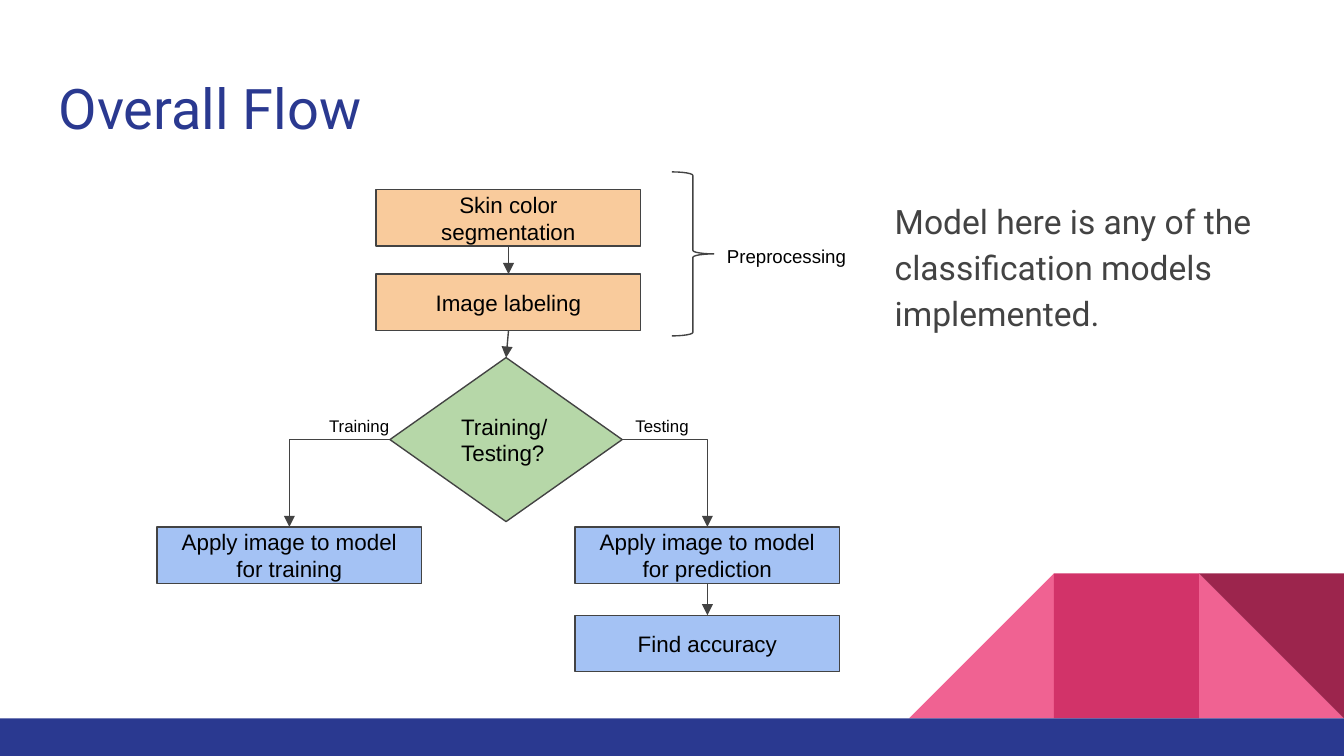
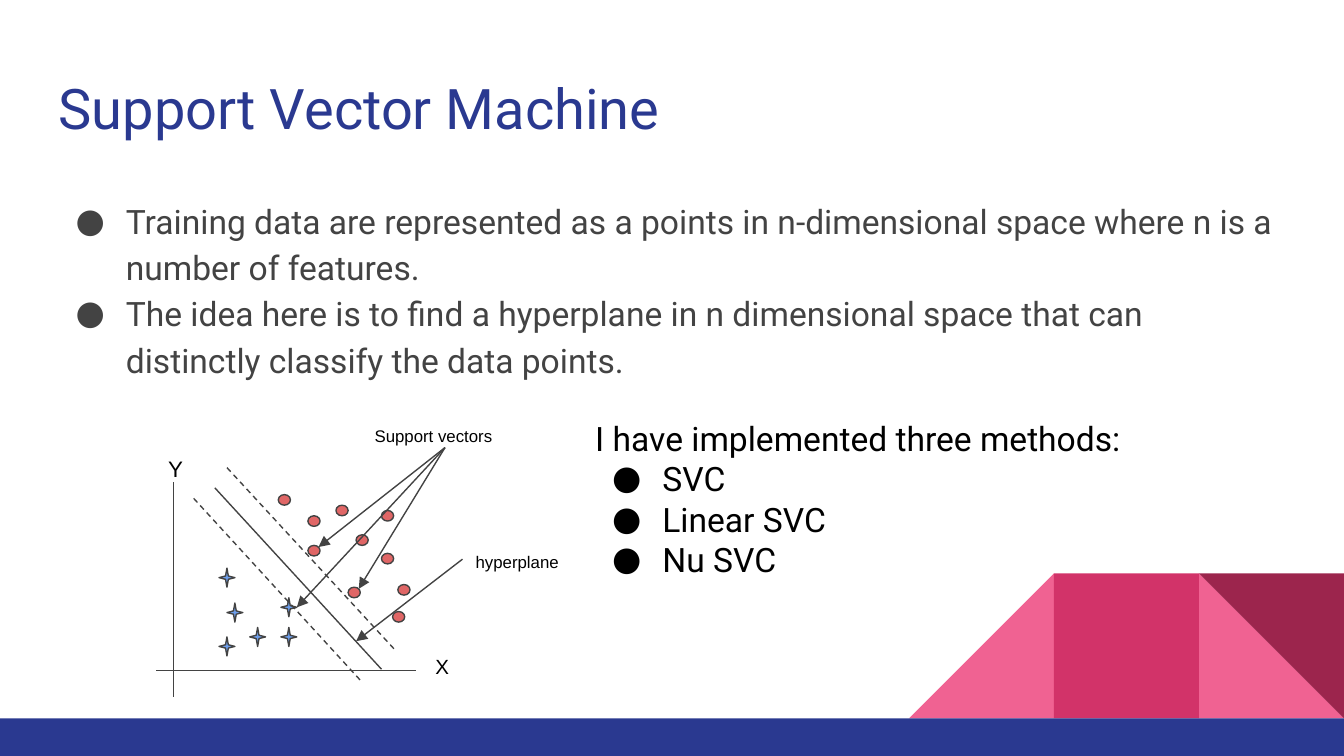
from lxml import etree
from pptx import Presentation
from pptx.dml.color import RGBColor
from pptx.enum import dml, shapes, text
from pptx.oxml import ns
from pptx.util import Cm, Pt

COLORS = {
    "navy": "2A3990",
    "pink": "F06292",
    "rose": "D23369",
    "wine": "9C254D",
    "gray": "434343",
    "black": "000000",
    "orange": "F9CB9C",
    "sky": "A4C2F4",
    "green": "B6D7A8",
    "blue": "6D9EEB",
    "red": "E06666",
}
SLIDE_W, SLIDE_H = 25.4, 14.29
FOOTER_TOP = 13.58
TILE = 2.74
STEP_W, STEP_H = 5, 1.07
TOP, LEFT, BOTTOM, RIGHT = range(4)
KIND = shapes.MSO_SHAPE


def rgb(name):
    return RGBColor.from_string(COLORS[name])


def add_child(parent, tag, **attributes):
    child = etree.SubElement(parent, ns.qn(tag))
    for key, value in attributes.items():
        child.set(key, value)
    return child


def add_bullet(paragraph, color):
    props = paragraph._p.get_or_add_pPr()
    props.set("marL", str(Cm(1.27)))
    props.set("indent", str(Cm(-0.95)))
    add_child(add_child(props, "a:buClr"), "a:srgbClr", val=COLORS[color])
    add_child(props, "a:buFont", typeface="Roboto")
    add_child(props, "a:buChar", char="●")


def write(frame, lines, size, color="black", font="Arial", align=text.PP_ALIGN.LEFT,
          anchor=text.MSO_ANCHOR.TOP, spacing=None, after=None, bullets_from=None):
    frame.word_wrap = True
    frame.vertical_anchor = anchor
    frame.margin_left = frame.margin_right = Cm(0.25)
    frame.margin_top = frame.margin_bottom = Cm(0.25)
    for index, line in enumerate(lines):
        paragraph = frame.add_paragraph() if index else frame.paragraphs[0]
        paragraph.alignment = align
        if spacing:
            paragraph.line_spacing = spacing
        if after:
            paragraph.space_after = Pt(after)
        if bullets_from is not None and index >= bullets_from:
            add_bullet(paragraph, color)
        run = paragraph.add_run()
        run.text = line
        run.font.size = Pt(size)
        run.font.name = font
        run.font.color.rgb = rgb(color)


def add_text(slide, box, lines, size, **style):
    frame = slide.shapes.add_textbox(*map(Cm, box)).text_frame
    write(frame, lines, size, **style)


def add_figure(slide, kind, box, fill=None, line=None):
    figure = slide.shapes.add_shape(kind, *map(Cm, box))
    figure.shadow.inherit = False
    if fill:
        figure.fill.solid()
        figure.fill.fore_color.rgb = rgb(fill)
    else:
        figure.fill.background()
    if line:
        figure.line.color.rgb = rgb(line)
        figure.line.width = Pt(0.75)
    else:
        figure.line.fill.background()
    return figure


def style_line(connector, arrow=False, dashed=False):
    connector.line.color.rgb = rgb("gray")
    connector.line.width = Pt(0.75)
    if dashed:
        connector.line.dash_style = dml.MSO_LINE.DASH
    if arrow:
        add_child(connector.line._get_or_add_ln(), "a:tailEnd", type="triangle")
    add_child(connector._element.spPr, "a:effectLst")


def add_line(slide, start, end, **style):
    connector = slide.shapes.add_connector(
        shapes.MSO_CONNECTOR.STRAIGHT, *map(Cm, (*start, *end)))
    style_line(connector, **style)


def add_link(slide, source, source_side, target, bent=False):
    kind = shapes.MSO_CONNECTOR.ELBOW if bent else shapes.MSO_CONNECTOR.STRAIGHT
    link = slide.shapes.add_connector(kind, 0, 0, 0, 0)
    link.begin_connect(source, source_side)
    link.end_connect(target, TOP)
    if bent:
        link._element.spPr.find(ns.qn("a:prstGeom")).set("prst", "bentConnector2")
    style_line(link, arrow=True)


def add_step(slide, left, top, label, fill):
    step = add_figure(slide, KIND.RECTANGLE, (left, top, STEP_W, STEP_H), fill, "gray")
    write(step.text_frame, [label], 12, align=text.PP_ALIGN.CENTER,
          anchor=text.MSO_ANCHOR.MIDDLE)
    return step


def add_marks(slide, kind, size, fill, places):
    for place in places:
        add_figure(slide, kind, (*place, *size), fill, "gray")


def add_page(deck, title):
    slide = deck.slides.add_slide(deck.slide_layouts[6])
    tile_top = FOOTER_TOP - TILE
    left, middle, right = [(SLIDE_W - n * TILE, tile_top, TILE, TILE) for n in (3, 2, 1)]
    add_figure(slide, KIND.RIGHT_TRIANGLE, right, "pink")
    slope = add_figure(slide, KIND.RIGHT_TRIANGLE, left, "pink")
    slope._element.spPr.xfrm.set("flipH", "1")
    add_figure(slide, KIND.RECTANGLE, middle, "rose")
    add_figure(slide, KIND.RIGHT_TRIANGLE, right, "wine").rotation = 180
    footer = (0, FOOTER_TOP, SLIDE_W, SLIDE_H - FOOTER_TOP)
    add_figure(slide, KIND.RECTANGLE, footer, "navy")
    add_text(slide, (0.86, 1.14, 23.67, 1.68), [title], 30, color="navy", font="Roboto")
    return slide


def build_flow(deck):
    slide = add_page(deck, "Overall Flow")
    segmentation = add_step(slide, 7.11, 3.58, "Skin color segmentation", "orange")
    labeling = add_step(slide, 7.11, 5.18, "Image labeling", "orange")
    training = add_step(slide, 2.97, 9.96, "Apply image to model for training", "sky")
    decision = add_figure(slide, KIND.DIAMOND, (7.37, 6.76, 4.39, 3.1), "green", "gray")
    write(decision.text_frame, ["Training/Testing?"], 12, anchor=text.MSO_ANCHOR.MIDDLE)
    prediction = add_step(slide, 10.87, 9.96, "Apply image to model for prediction", "sky")
    accuracy = add_step(slide, 10.87, 11.63, "Find accuracy", "sky")

    add_link(slide, segmentation, BOTTOM, labeling)
    add_link(slide, labeling, BOTTOM, decision)
    add_link(slide, decision, LEFT, training, bent=True)
    add_link(slide, decision, RIGHT, prediction, bent=True)
    add_link(slide, prediction, BOTTOM, accuracy)

    add_text(slide, (5.97, 7.67, 1.75, 0.43), ["Training"], 9)
    add_text(slide, (11.76, 7.67, 1.75, 0.43), ["Testing"], 9)
    add_figure(slide, KIND.RIGHT_BRACE, (12.7, 3.25, 0.79, 3.1), line="gray")
    add_text(slide, (13.49, 4.42, 2.82, 0.76), ["Preprocessing"], 10)
    add_text(slide, (16.66, 3.43, 7.87, 9.27),
             ["Model here is any of the classification models implemented."],
             18, color="gray", font="Roboto", spacing=1.15, after=16)


def add_vector_plot(slide):
    add_line(slide, (3.28, 9.12), (3.28, 13.18))
    add_line(slide, (2.95, 12.67), (7.87, 12.67))
    add_text(slide, (2.95, 8.36, 0.48, 0.64), ["Y"], 12)
    add_text(slide, (8, 12.12, 0.48, 0.64), ["X"], 11)
    add_marks(slide, KIND.STAR_4_POINT, (0.3, 0.36), "blue", [
        (4.14, 10.74), (5.31, 11.3), (4.29, 11.4),
        (4.72, 11.86), (5.31, 11.86), (4.14, 12.04)])
    add_marks(slide, KIND.OVAL, (0.23, 0.2), "red", [
        (5.26, 9.35), (6.35, 9.55), (5.82, 10.31), (6.73, 10.11), (5.82, 9.75),
        (6.58, 11.1), (7.21, 9.65), (7.21, 10.46), (7.52, 11.05), (7.42, 11.56)])

    add_line(slide, (4.06, 9.22), (7.21, 12.65))
    add_line(slide, (4.29, 8.84), (7.47, 12.29), dashed=True)
    add_line(slide, (3.66, 9.42), (6.83, 12.88), dashed=True)
    add_text(slide, (6.83, 7.85, 3.15, 0.64), ["Support vectors"], 9)
    for vector in [(6.02, 10.34), (6.78, 11.13), (5.61, 11.48)]:
        add_line(slide, (8.41, 8.46), vector, arrow=True)
    add_text(slide, (8.74, 10.24, 3.15, 0.64), ["hyperplane"], 9)
    add_line(slide, (8.74, 10.57), (6.73, 12.12), arrow=True)


def build_svm(deck):
    slide = add_page(deck, "Support Vector Machine")
    add_vector_plot(slide)
    add_text(slide, (0.86, 3.43, 23.67, 3.73), [
        "Training data are represented as a points in n-dimensional space "
        "where n is a number of features.",
        "The idea here is to find a hyperplane in n dimensional space that can "
        "distinctly classify the data points.",
    ], 18, color="gray", font="Roboto", spacing=1.15, bullets_from=0)
    add_text(slide, (11, 7.65, 14.4, 2.06),
             ["I have implemented three methods:", "SVC", "Linear SVC", "Nu SVC"],
             18, font="Roboto", bullets_from=1)


def main():
    deck = Presentation()
    deck.slide_width, deck.slide_height = Cm(SLIDE_W), Cm(SLIDE_H)
    build_flow(deck)
    build_svm(deck)
    deck.save("out.pptx")


if __name__ == "__main__":
    main()
